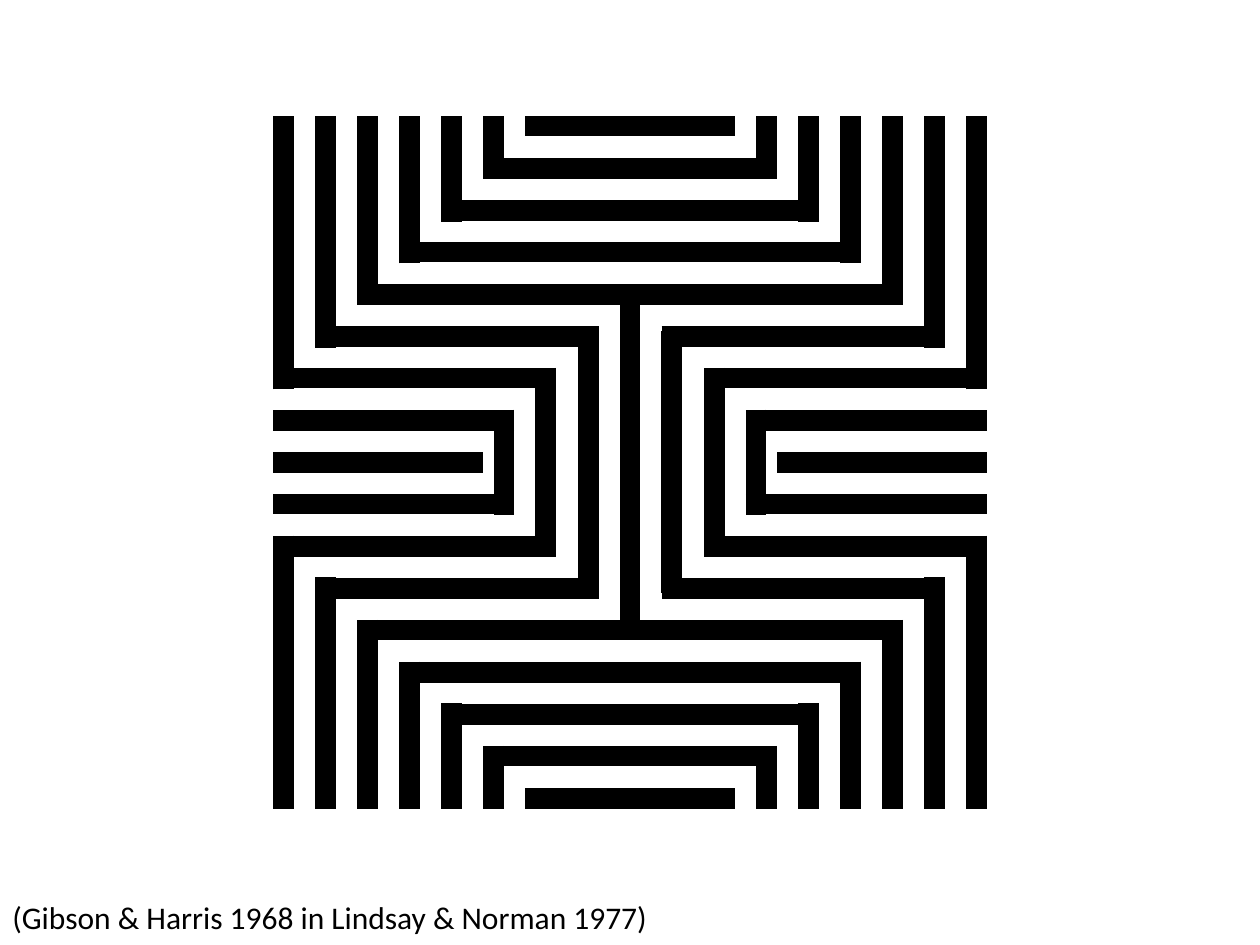
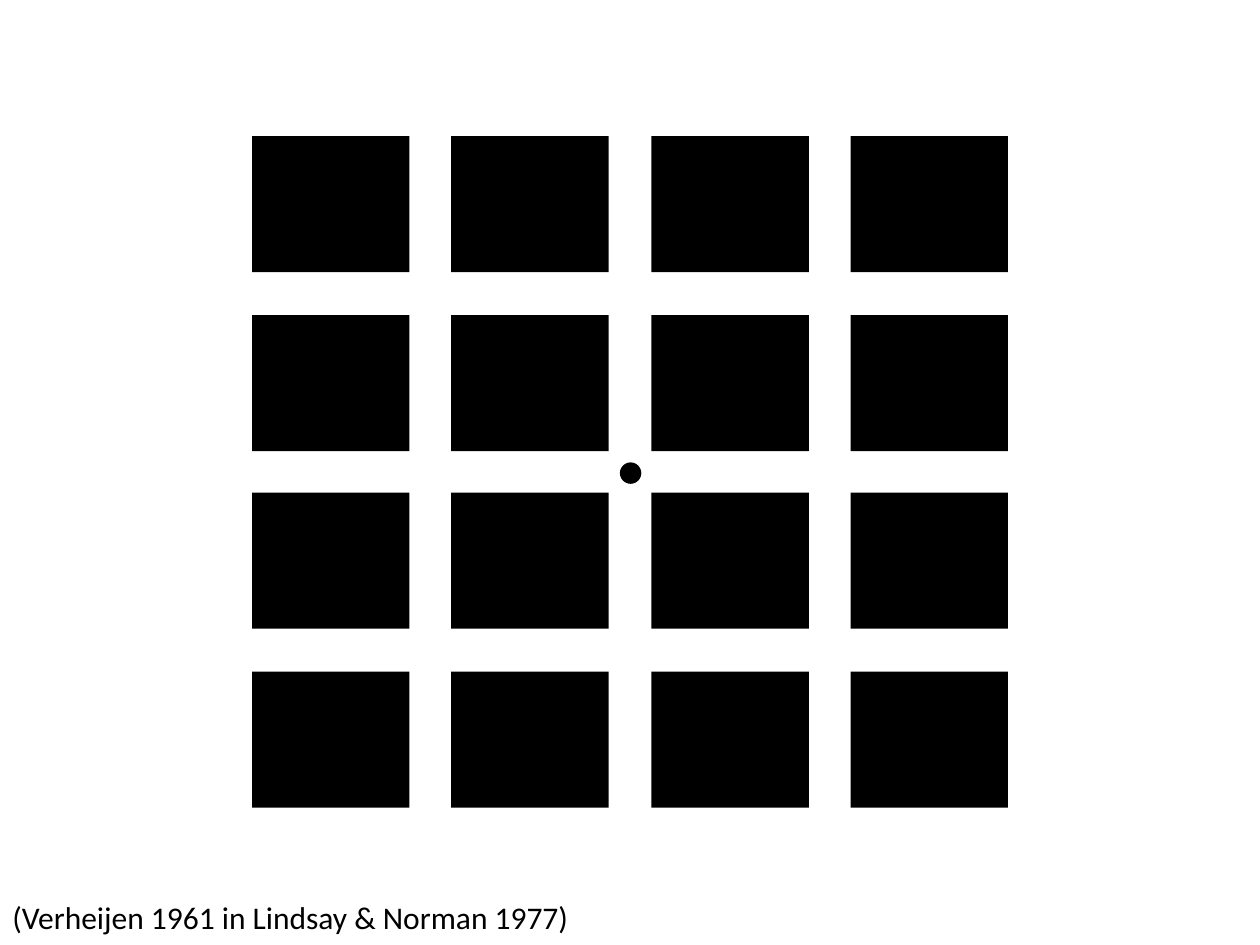
from itertools import product

from lxml.etree import SubElement
from pptx import Presentation
from pptx.dml.color import RGBColor
from pptx.enum.shapes import MSO_CONNECTOR as Link, MSO_SHAPE as Form
from pptx.enum.text import MSO_AUTO_SIZE as Fit
from pptx.oxml.ns import qn
from pptx.util import Inches, Pt

FONT = "Calibri"
BLACK = "000000"
MID_X, MID_Y = 5, 3.67
STEP = 1 / 3
BOTH = (-1, 1)


def color(text):
    return RGBColor.from_string(text)


def add_bar(group, start, end):
    """Draw a thick line between two points measured from the centre."""
    ends = [Inches(round(mid + off, 2))
            for point in (start, end)
            for mid, off in zip((MID_X, MID_Y), point)]
    bar = group.shapes.add_connector(Link.STRAIGHT, *ends)
    bar.line.color.rgb = color(BLACK)
    bar.line.width = Pt(12)
    SubElement(bar.element.spPr, qn("a:effectLst"))


def add_form(slide, form, left, top, width, height):
    shape = slide.shapes.add_shape(form, *map(Inches, (left, top, width, height)))
    shape.shadow.inherit = False
    shape.fill.solid()
    shape.fill.fore_color.rgb = color(BLACK)
    shape.line.fill.background()


def add_credit(slide, text, width):
    box = slide.shapes.add_textbox(Inches(0), Inches(7.08), Inches(width), Inches(0.4))
    frame = box.text_frame
    frame.word_wrap = False
    frame.auto_size = Fit.SHAPE_TO_FIT_TEXT
    frame.text = text
    font = frame.paragraphs[0].runs[0].font
    font.name = FONT
    font.size = Pt(18)
    font.color.rgb = color(BLACK)


def draw_maze(slide):
    """Draw nested bars, mirrored about both axes of the centre."""
    group = slide.shapes.add_group_shape()
    add_bar(group, (0, -1.33), (0, 1.41))

    # Uprights that reach the top and bottom edges
    for rank, side, way in product(range(6), BOTH, BOTH):
        x = side * (2.75 - rank * STEP)
        add_bar(group, (x, way * (0.58 + rank * STEP)), (x, way * 2.75))

    # Level bars across the middle
    for rank, half in enumerate((2, 1.83, 1.5, 1, 0.83), 4):
        for way in BOTH:
            y = way * rank * STEP
            add_bar(group, (-half, y), (half, y))

    # Side arms, and the uprights that close them
    arms = ((1.17, 2.83), (0.92, 2.83), (0.67, 2.67), (0.25, 2.33))
    for rank, (near, far) in enumerate(arms):
        for side, way in product(BOTH, BOTH if rank else (1,)):
            y = way * rank * STEP
            add_bar(group, (side * near, y), (side * far, y))
    for rank, half in enumerate((1.04, 0.75, 0.42), 1):
        for side in BOTH:
            x = side * rank * STEP
            add_bar(group, (x, -half), (x, half))


def draw_grid(slide):
    """Draw four by four blocks with a dot at the centre."""
    for row, col in product(range(4), repeat=2):
        add_form(slide, Form.RECTANGLE, round(2 + col * 4.75 / 3, 2),
                 round(1.08 + row * 4.25 / 3, 2), 1.25, 1.08)
    add_form(slide, Form.OVAL, 4.92, 3.67, 0.17, 0.17)


def main():
    deck = Presentation()
    deck.slide_width, deck.slide_height = Inches(10), Inches(7.5)
    pages = (
        (draw_maze, "(Gibson & Harris 1968 in Lindsay & Norman 1977)", 5.3),
        (draw_grid, "(Verheijen 1961 in Lindsay & Norman 1977)", 4.67),
    )
    for draw, credit, width in pages:
        slide = deck.slides.add_slide(deck.slide_layouts[6])
        draw(slide)
        add_credit(slide, credit, width)
    deck.save("out.pptx")


if __name__ == "__main__":
    main()
